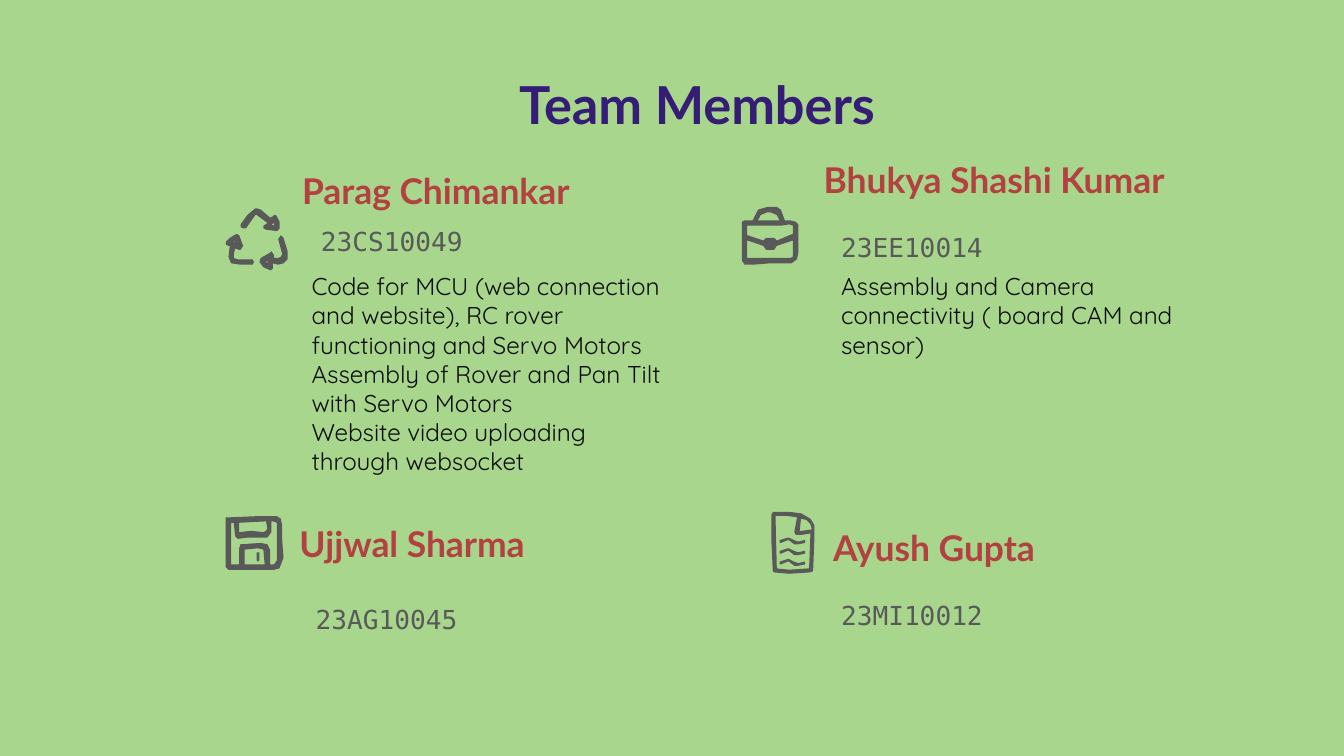
from pptx import Presentation
from pptx.dml.color import RGBColor
from pptx.enum.text import MSO_ANCHOR, PP_ALIGN
from pptx.util import Inches, Pt

TOP, MIDDLE = MSO_ANCHOR.TOP, MSO_ANCHOR.MIDDLE
LEFT, CENTER = PP_ALIGN.LEFT, PP_ALIGN.CENTER
UNIT = Inches(0.1)  # one grid column or row
COLUMNS, ROWS = 100, 56.25

COLORS = {"background": "A8D68C", "title": "351C75", "name": "B44141",
          "grey": "595959", "body": "0D0D0D"}
STYLES = {
    "title": {"size": Pt(28), "name": "Lato", "bold": True},
    "name": {"size": Pt(19), "name": "Lato", "bold": True},
    "grey": {"size": Pt(14), "name": "DejaVu Sans Mono"},
    "body": {"size": Pt(13), "name": "Quicksand"},
}

# Each icon is a list of parts, each part an outline followed by its holes.
# Points are in tenths of a grid unit from the icon's top left corner.
RECYCLE = [
    ["23,0 22,0 16,5 11,12 11,14 13,15 15,15 22,5 23,5 31,11 28,13 28,15 30,16 38,17"
     " 40,15 40,10 38,6 37,5 36,5 35,6 33,7 26,1",
     "36,11 36,13 34,12"],
    ["8,19 3,22 0,25 0,27 2,28 3,28 2,36 4,41 11,42 20,42 21,40 20,38 9,38 6,37 6,34 7,30"
     " 10,31 11,31 13,28 10,20",
     "7,24 7,25 6,25"],
    ["41,20 39,23 42,34 41,36 39,37 36,37 36,35 34,32 33,33 26,37 25,40 28,44 33,46 34,46"
     " 35,45 35,41 39,42 43,41 46,38 46,32 43,22",
     "31,39 31,41 30,40"],
]
BRIEFCASE = [
    ["22,0 19,0 12,2 8,10 2,10 0,11 0,12 0,40 2,43 8,43 21,42 37,42 41,39 42,34 42,13"
     " 40,11 36,10 32,10 29,2 26,0",
     "21,4 26,6 28,10 12,10 14,6 19,4",
     "35,13 38,14 38,20 26,25 24,23 18,23 16,25 4,21 4,14 29,14",
     "38,25 38,37 36,38 4,38 4,25 16,29 18,32 24,32 26,29"],
]
FLOPPY = [
    ["34,0 25,0 2,1 0,1 0,38 2,40 36,40 40,39 43,31 42,17 42,7 41,2 38,0",
     "30,4 31,9 30,11 28,12 19,11 10,12 10,5",
     "35,4 38,5 38,33 36,36 33,36 33,25 31,21 26,20 11,21 10,24 10,36 4,36 4,5 6,5 7,15"
     " 9,17 17,16 31,16 34,12 34,4",
     "24,24 28,25 29,36 14,36 14,25"],
    ["24,27 23,27 23,33 24,34 25,33 25,27"],
]
WAVE = [(13, 19), (7, 21), (7, 23), (8, 23), (13, 21), (14, 21), (18, 24), (21, 24),
        (26, 23), (26, 21), (25, 21), (21, 22), (18, 21), (14, 19)]
DOCUMENT = [
    ["2,0 1,2 1,23 2,44 3,45 14,46 30,45 32,44 33,18 33,10 30,5 23,1 15,0",
     "23,5 27,6 30,9 31,13 24,14 22,14",
     "4,3 13,3 20,4 18,15 19,17 24,17 30,16 29,42 14,43 5,42"],
] + [[" ".join(f"{x},{y + 8 * line}" for x, y in WAVE)] for line in range(3)]

MEMBERS = [
    {"name": ("Parag Chimankar", 21.5, 11.6, 38.3, 7.6, TOP),
     "roll": ("23CS10049", 22.9, 15.8, 21.6, 4),
     "icon": (RECYCLE, 16.8, 15.5)},
    {"name": ("Bhukya Shashi Kumar", 60.3, 10.8, 30.9, 5.3, TOP),
     "roll": ("23EE10014", 61.6, 16.2, 21.6, 4.6),
     "icon": (BRIEFCASE, 55.2, 15.4)},
    {"name": ("Ujjwal Sharma", 21.3, 38.1, 21.6, 4.6, MIDDLE),
     "roll": ("23AG10045", 22.5, 43.9, 21.6, 4.4),
     "icon": (FLOPPY, 16.8, 38.4)},
    {"name": ("Ayush Gupta", 61, 38.1, 21.6, 5.3, MIDDLE),
     "roll": ("23MI10012", 61.6, 43.6, 21.6, 7.8),
     "icon": (DOCUMENT, 57.3, 38.1)},
]
TASKS = [
    (["Code for MCU (web connection and website), RC rover functioning and Servo Motors",
      "Assembly of Rover and Pan Tilt with Servo Motors\n"
      "Website video uploading through websocket"], 22.2, 19.2, 28.8, 18.9),
    (["Assembly and Camera connectivity ( board CAM and sensor)"], 61.6, 19.2, 30.5, 17.8),
]


def rgb(key):
    return RGBColor.from_string(COLORS[key])


def grid(*values):
    return [round(value * UNIT) for value in values]


def points(text):
    return [tuple(map(int, pair.split(","))) for pair in text.split()]


class SlideBuilder:
    def __init__(self, slide):
        self.slide = slide
        fill = slide.background.fill
        fill.solid()
        fill.fore_color.rgb = rgb("background")

    def text(self, style, lines, left, top, width, height,
             anchor=TOP, align=LEFT, spacing=1.0):
        box = self.slide.shapes.add_textbox(*grid(left, top, width, height))
        frame = box.text_frame
        margins = dict.fromkeys(
            ("margin_left", "margin_top", "margin_right", "margin_bottom"), UNIT)
        for key, value in {"word_wrap": True, "vertical_anchor": anchor, **margins}.items():
            setattr(frame, key, value)
        for index, line in enumerate(lines):
            para = frame.add_paragraph() if index else frame.paragraphs[0]
            para.text = line
            para.alignment = align
            para.line_spacing = spacing
            for span in para.runs:
                span.font.color.rgb = rgb(style)
                for key, value in STYLES[style].items():
                    setattr(span.font, key, value)

    def icon(self, parts, left, top):
        group = self.slide.shapes.add_group_shape()
        for part in parts:
            outline, *holes = map(points, part)
            builder = group.shapes.build_freeform(*outline[0], scale=UNIT / 10)
            builder.add_line_segments(outline[1:], close=True)
            for hole in holes:
                builder.move_to(*hole[0])
                builder.add_line_segments(hole[1:], close=True)
            shape = builder.convert_to_shape(*grid(left, top))
            shape.shadow.inherit = False
            shape.fill.solid()
            shape.fill.fore_color.rgb = rgb("grey")
            shape.line.fill.background()


def main():
    deck = Presentation()
    deck.slide_width, deck.slide_height = grid(COLUMNS, ROWS)
    page = SlideBuilder(deck.slides.add_slide(deck.slide_layouts[6]))
    page.text("title", ["Team Members"], 22.9, 5.3, 57.9, 6.3, align=CENTER, spacing=0.8)
    for member in MEMBERS:
        name, *place = member["name"]
        page.text("name", [name], *place)
        roll, *place = member["roll"]
        page.text("grey", [roll], *place)
        page.icon(*member["icon"])
    for lines, *place in TASKS:
        page.text("body", lines, *place)
    deck.save("out.pptx")


if __name__ == "__main__":
    main()
